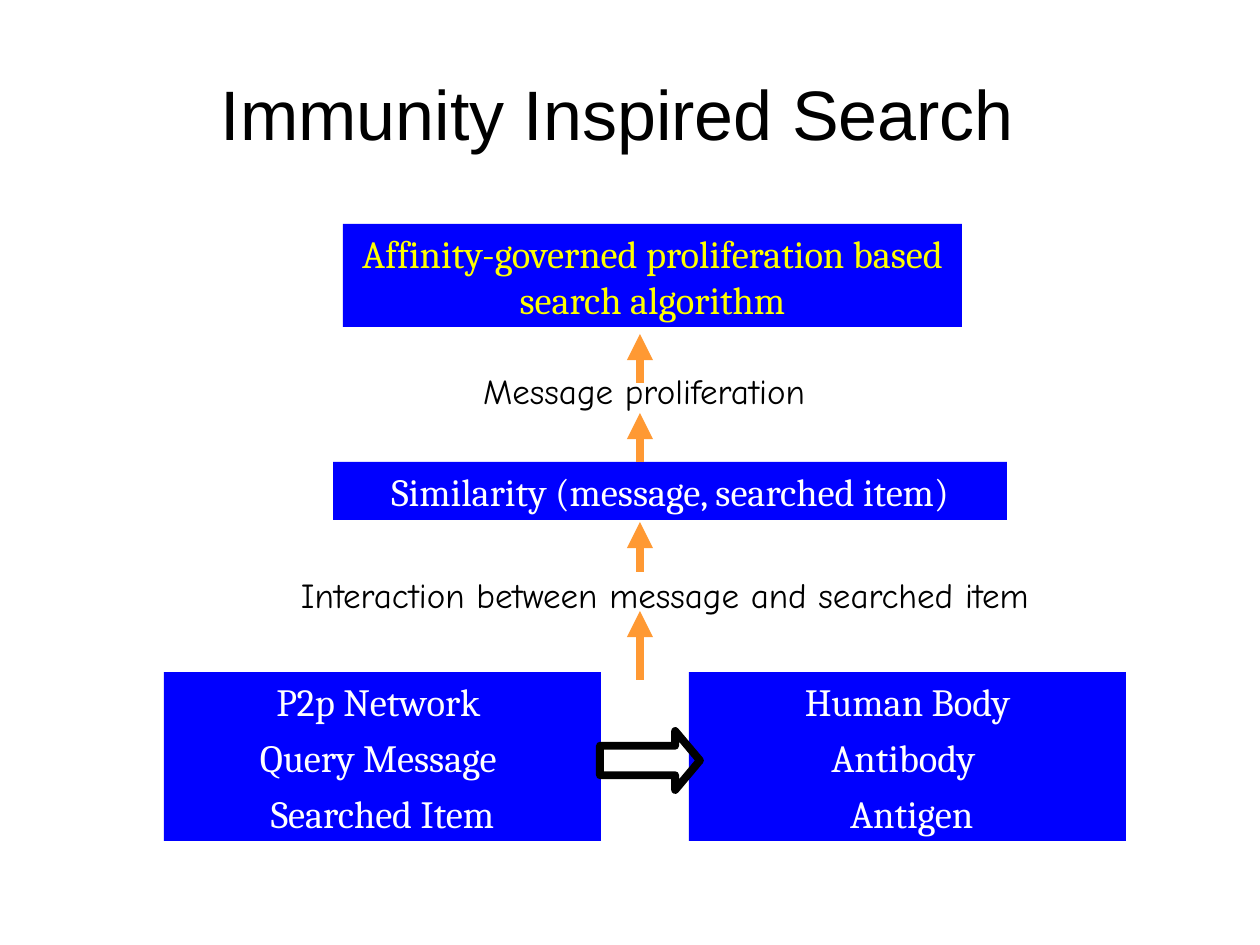
import pptx
import pptx.dml.color
import pptx.enum.shapes
import pptx.enum.text
import pptx.oxml.ns
import pptx.util
from lxml import etree

PX = 914400 / 126
SHAPE = pptx.enum.shapes.MSO_SHAPE
ALIGN = pptx.enum.text.PP_ALIGN
TITLE = {"name": "Arial", "size": pptx.util.Pt(40)}
PANEL = {"name": "Cambria", "size": pptx.util.Pt(22)}
CAPTION = {"name": "Comic Neue", "size": pptx.util.Pt(20)}


def emu(*lengths):
    return [pptx.util.Emu(round(n * PX)) for n in lengths]


def paint(color_format, value):
    color_format.rgb = pptx.dml.color.RGBColor.from_string(value)


def write(sp, lines, font, color, para, pad=(12, 6), wrap=True):
    tf = sp.text_frame
    side, end = emu(*pad)
    frame = {"margin_left": side, "margin_right": side,
             "margin_top": end, "margin_bottom": end, "word_wrap": wrap,
             "vertical_anchor": pptx.enum.text.MSO_ANCHOR.TOP,
             "auto_size": pptx.enum.text.MSO_AUTO_SIZE.SHAPE_TO_FIT_TEXT}
    for key, value in frame.items():
        setattr(tf, key, value)
    for i, line in enumerate(lines):
        p = tf.add_paragraph() if i else tf.paragraphs[0]
        for key, value in para.items():
            setattr(p, key, value)
        if i:
            p.space_before = pptx.util.Pt(5.5)
        r = p.add_run()
        r.text = line
        for key, value in font.items():
            setattr(r.font, key, value)
        paint(r.font.color, color)


def add_panel(s, box, lines, color="FFFFFF"):
    sp = s.shapes.add_shape(SHAPE.RECTANGLE, *emu(*box))
    sp.shadow.inherit = False
    sp.fill.solid()
    paint(sp.fill.fore_color, "0000FF")
    sp.line.fill.background()
    write(sp, lines, PANEL, color, {"alignment": ALIGN.CENTER})


def add_caption(s, box, text):
    sp = s.shapes.add_textbox(*emu(*box))
    write(sp, [text], CAPTION, "000000", {"alignment": ALIGN.LEFT}, wrap=False)


def add_up_arrow(s, x, bottom, top):
    line = s.shapes.add_connector(pptx.enum.shapes.MSO_CONNECTOR.STRAIGHT,
                                  *emu(x, bottom, x, top))
    paint(line.line.color, "FF9933")
    line.line.width = pptx.util.Pt(5)
    qn = pptx.oxml.ns.qn
    etree.SubElement(line.line._get_or_add_ln(), qn("a:tailEnd"), type="triangle")
    etree.SubElement(line._element.spPr, qn("a:effectLst"))


def add_title(s, box):
    sp = s.shapes.add_textbox(*emu(*box))
    para = {"alignment": ALIGN.LEFT, "line_spacing": pptx.util.Pt(33.2)}
    write(sp, ["Immunity Inspired Search"], TITLE, "000000", para, pad=(0, 0))


def add_analogy(s, box):
    x, y, w, h = box
    panel_w = 437
    add_panel(s, (x, y, panel_w, h),
              ["P2p Network ", "Query Message ", "Searched Item"])
    add_panel(s, (x + w - panel_w, y, panel_w, h),
              [" Human Body ", "Antibody ", " Antigen"])
    sp = s.shapes.add_shape(SHAPE.RIGHT_ARROW,
                            *emu(x + panel_w - 1, y + 59, 100, 59))
    sp.shadow.inherit = False
    sp.adjustments[1] = 0.42
    sp.fill.background()
    paint(sp.line.color, "000000")
    sp.line.width = pptx.util.Pt(4.5)


def add_flow(s, box):
    x, y, w, h = box
    add_panel(s, (x + 44, y + 238, 674, 58),
              ["Similarity (message, searched item)"])
    add_panel(s, (x + 54, y, 619, 103),
              ["Affinity-governed proliferation based search algorithm"], "FFFF00")
    add_caption(s, (x, y + 343, w, 55),
                "Interaction between message and searched item")
    add_caption(s, (x + 182, y + 139, 349, 55), "Message proliferation")
    for bottom, top in ((h, 387), (348, 298), (238, 189), (159, 110)):
        add_up_arrow(s, x + 351, y + bottom, y + top)


def main():
    prs = pptx.Presentation()
    prs.slide_width, prs.slide_height = emu(1260, 945)
    s = prs.slides.add_slide(prs.slide_layouts[6])
    add_title(s, (221, 96, 892, 58))
    add_analogy(s, (164, 672, 962, 169))
    add_flow(s, (289, 224, 757, 456))
    prs.save("out.pptx")


if __name__ == "__main__":
    main()
